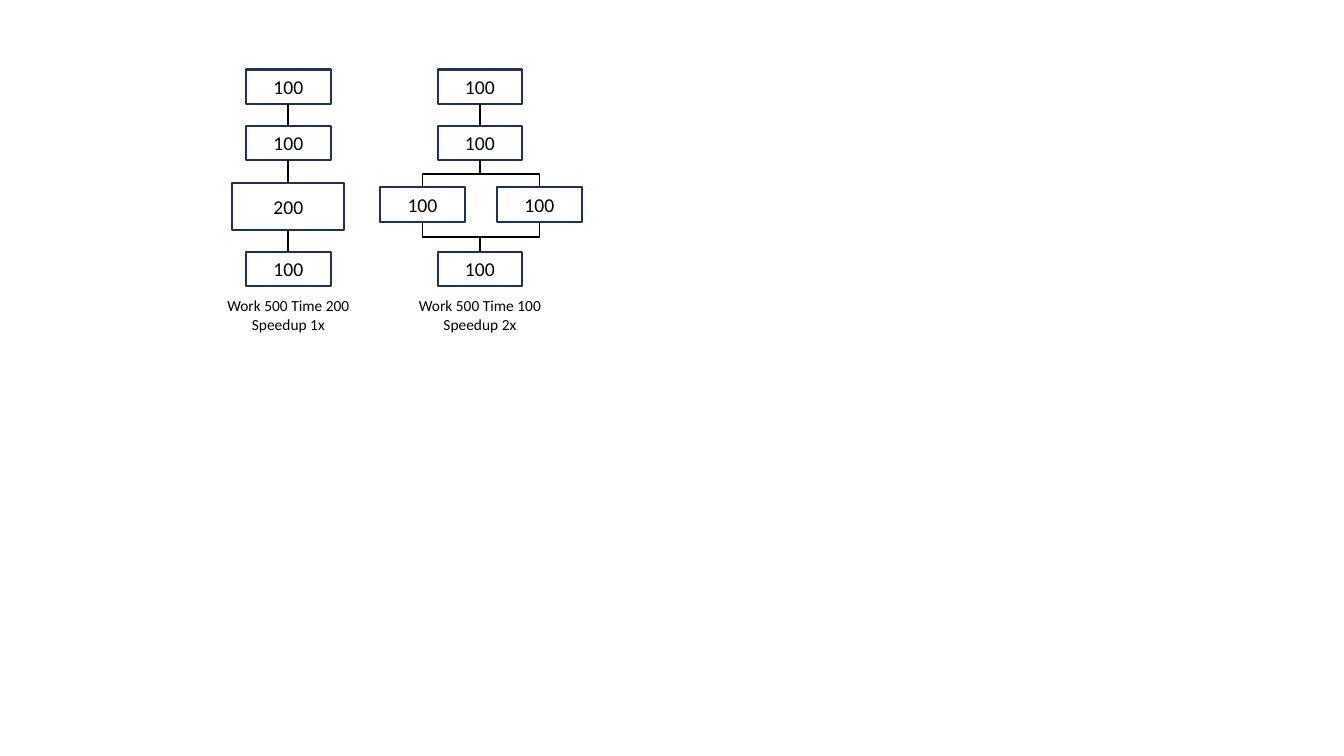
from dataclasses import dataclass

from lxml import etree
from pptx import Presentation
from pptx.dml.color import RGBColor
from pptx.enum import shapes, text
from pptx.oxml.ns import qn
from pptx.util import Inches, Pt


@dataclass(frozen=True)
class Theme:
    font: str = "Calibri"
    ink: RGBColor = RGBColor(0x00, 0x00, 0x00)
    border: RGBColor = RGBColor(0x1E, 0x32, 0x56)
    task_size: float = 14
    caption_size: float = 11
    border_width: float = 1.5
    link_width: float = 1.25


THEME = Theme()
TOP, BOTTOM = 0, 2
TASK_W, TASK_H = 0.84, 0.34
ROW_STEP = 0.56
LAST_ROW = 1.81
CAPTION_ROW, CAPTION_W, CAPTION_H = 2.2, 1.51, 0.47


def write(frame, words, size, color=THEME.ink, margin=0.0,
          anchor=text.MSO_ANCHOR.MIDDLE):
    frame.word_wrap = True
    frame.vertical_anchor = anchor
    frame.margin_left = frame.margin_right = Inches(2 * margin)
    frame.margin_top = frame.margin_bottom = Inches(margin)
    paragraph = frame.paragraphs[0]
    paragraph.alignment = text.PP_ALIGN.CENTER
    run = paragraph.add_run()
    run.text = words
    run.font.name = THEME.font
    run.font.size = Pt(size)
    run.font.color.rgb = color


def add_task(graph, center, top, work="100", width=TASK_W, height=TASK_H):
    task = graph.shapes.add_shape(
        shapes.MSO_SHAPE.RECTANGLE, Inches(center - width / 2), Inches(top),
        Inches(width), Inches(height))
    task.shadow.inherit = False
    task.fill.background()
    task.line.color.rgb = THEME.border
    task.line.width = Pt(THEME.border_width)
    write(task.text_frame, work, THEME.task_size)
    return task


def add_caption(graph, center, top, words):
    caption = graph.shapes.add_textbox(
        Inches(center - CAPTION_W / 2), Inches(top),
        Inches(CAPTION_W), Inches(CAPTION_H))
    write(caption.text_frame, words, THEME.caption_size, margin=0.05,
          anchor=text.MSO_ANCHOR.TOP)


def link(graph, upper, lower, kind=shapes.MSO_CONNECTOR.STRAIGHT):
    """Join the bottom of one task to the top of the next."""
    connector = graph.shapes.add_connector(kind, 0, 0, 0, 0)
    connector.begin_connect(upper, BOTTOM)
    connector.end_connect(lower, TOP)
    connector.line.color.rgb = THEME.ink
    connector.line.width = Pt(THEME.link_width)
    etree.SubElement(connector.element.spPr, qn("a:effectLst"))
    if kind == shapes.MSO_CONNECTOR.ELBOW:
        turn_downward(connector)


def turn_downward(elbow):
    """Rotate an elbow so that it leaves and arrives vertically."""
    rightward = elbow.end_x > elbow.begin_x
    left, top, width, height = elbow.left, elbow.top, elbow.width, elbow.height
    elbow.left = left + (width - height) // 2
    elbow.top = top + (height - width) // 2
    elbow.width, elbow.height = height, width
    frame = elbow.element.spPr.find(qn("a:xfrm"))
    frame.set("rot", str((270 if rightward else 90) * 60000))
    frame.set("flipH", "1" if rightward else "0")


def add_serial_graph(slide, center, top):
    graph = slide.shapes.add_group_shape()
    chain = [
        add_task(graph, center, top),
        add_task(graph, center, top + ROW_STEP),
        add_task(graph, center, top + 1.13, "200", width=1.11, height=0.46),
        add_task(graph, center, top + LAST_ROW),
    ]
    for upper, lower in zip(chain, chain[1:]):
        link(graph, upper, lower)
    add_caption(graph, center, top + CAPTION_ROW, "Work 500 Time 200 Speedup 1x")


def add_parallel_graph(slide, center, top):
    graph = slide.shapes.add_group_shape()
    first = add_task(graph, center, top)
    fork = add_task(graph, center, top + ROW_STEP)
    join = add_task(graph, center, top + LAST_ROW)
    link(graph, first, fork)
    for offset in (-0.57, 0.59):
        branch = add_task(graph, center + offset, top + 1.17)
        link(graph, fork, branch, shapes.MSO_CONNECTOR.ELBOW)
        link(graph, branch, join, shapes.MSO_CONNECTOR.ELBOW)
    add_caption(graph, center, top + CAPTION_ROW, "Work 500 Time 100 Speedup 2x")


def main():
    deck = Presentation()
    deck.slide_width, deck.slide_height = Inches(13.33), Inches(7.5)
    slide = deck.slides.add_slide(deck.slide_layouts[6])
    add_serial_graph(slide, center=2.86, top=0.69)
    add_parallel_graph(slide, center=4.76, top=0.69)
    deck.save("out.pptx")


if __name__ == "__main__":
    main()
